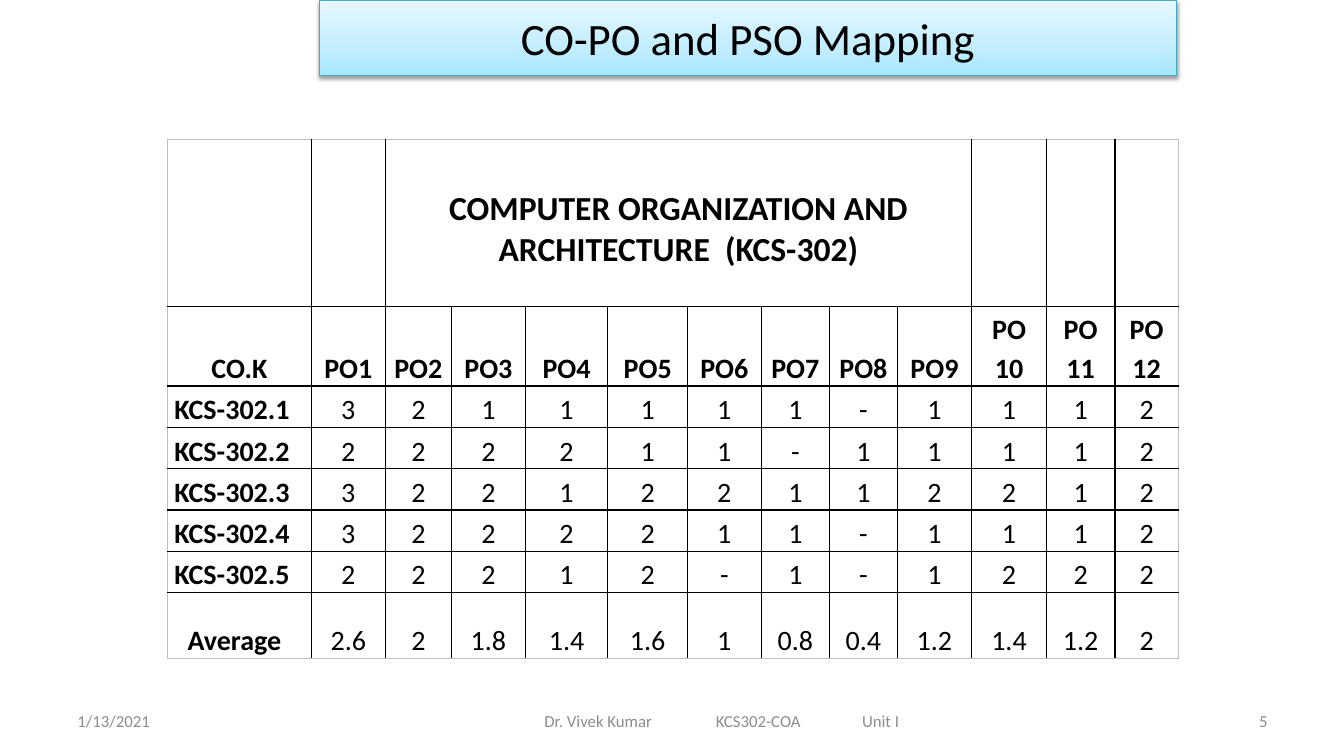
import pptx
import pptx.util
import pptx.dml.color
import pptx.enum.shapes
import pptx.enum.text
import pptx.oxml
import pptx.oxml.ns

Inches = pptx.util.Inches
Pt = pptx.util.Pt
RGBColor = pptx.dml.color.RGBColor
ALIGN = pptx.enum.text.PP_ALIGN
ANCHOR = pptx.enum.text.MSO_ANCHOR
NS = pptx.oxml.ns.nsdecls("a")

BLACK = RGBColor(0x00, 0x00, 0x00)
GREY = RGBColor(0x8C, 0x8C, 0x8C)
TEAL = RGBColor(0x46, 0xAA, 0xC5)
EDGE = RGBColor(0xBF, 0xBF, 0xBF)


def set_text(tf, text, size, color, align, bold=False):
    tf.text = text
    tf.word_wrap = True
    p = tf.paragraphs[0]
    p.alignment = align
    for r in p.runs:
        r.font.name = "Calibri"
        r.font.size = Pt(size)
        r.font.bold = bold
        r.font.color.rgb = color
    return p


def set_border(cell, side, color):
    cell._tc.get_or_add_tcPr().append(pptx.oxml.parse_xml(
        f'<a:{side} {NS} w="{Pt(1)}"><a:solidFill><a:srgbClr val="{color}"/>'
        f'</a:solidFill></a:{side}>'))


prs = pptx.Presentation()
prs.slide_width = Inches(13.33)
prs.slide_height = Inches(7.5)
s = prs.slides.add_slide(prs.slide_layouts[6])

footers = [
    (0.67, 3.11, 0.1, "1/13/2021", ALIGN.LEFT),
    (4.42, 5.5, 0.98, "Dr. Vivek Kumar\tKCS302-COA\tUnit I", ALIGN.LEFT),
    (9.56, 3.11, 0.1, "5", ALIGN.RIGHT),
]
for left, width, inset, text, align in footers:
    sp = s.shapes.add_textbox(Inches(left), Inches(6.95), Inches(width), Inches(0.4))
    tf = sp.text_frame
    tf.vertical_anchor = ANCHOR.MIDDLE
    tf.margin_left = Inches(inset)
    p = set_text(tf, text, 12, GREY, align)
    if "\t" in text:
        p._p.get_or_add_pPr().append(pptx.oxml.parse_xml(
            f'<a:tabLst {NS}><a:tab pos="{Inches(1.7)}" algn="l"/>'
            f'<a:tab pos="{Inches(3.15)}" algn="l"/></a:tabLst>'))

sp = s.shapes.add_shape(pptx.enum.shapes.MSO_SHAPE.RECTANGLE,
                        Inches(3.17), 0, Inches(8.5), Inches(0.75))
sp.line.color.rgb = TEAL
sp.line.width = Pt(0.75)
sp.shadow.inherit = False
spPr = sp._element.spPr
spPr.find(pptx.oxml.ns.qn("a:ln")).addprevious(pptx.oxml.parse_xml(
    f'<a:gradFill {NS} rotWithShape="1"><a:gsLst>'
    '<a:gs pos="0"><a:srgbClr val="A7E6FF"/></a:gs>'
    '<a:gs pos="35000"><a:srgbClr val="C1EDFF"/></a:gs>'
    '<a:gs pos="100000"><a:srgbClr val="E7F8FF"/></a:gs>'
    '</a:gsLst><a:lin ang="16200000" scaled="1"/></a:gradFill>'))
spPr.find(pptx.oxml.ns.qn("a:effectLst")).append(pptx.oxml.parse_xml(
    f'<a:outerShdw {NS} blurRad="{Pt(3.1)}" dist="{Pt(1.6)}" dir="5400000" rotWithShape="0">'
    '<a:srgbClr val="000000"><a:alpha val="38000"/></a:srgbClr></a:outerShdw>'))
sp.text_frame.vertical_anchor = ANCHOR.MIDDLE
set_text(sp.text_frame, "CO-PO and PSO Mapping", 32, BLACK, ALIGN.CENTER)

col_widths = [1.43, 0.73, 0.66, 0.73, 0.82, 0.79, 0.73, 0.68, 0.67, 0.74, 0.74, 0.68, 0.63]
row_heights = [1.66, 0.79] + [0.41] * 5 + [0.65]
rows = [
    ["", "", "COMPUTER ORGANIZATION AND ARCHITECTURE  (KCS-302)"] + [""] * 10,
    ["CO.K"] + [f"PO{n}" for n in range(1, 10)] + [f"PO {n}" for n in range(10, 13)],
    ["KCS-302.1", *"3211111-1112"],
    ["KCS-302.2", *"222211-11112"],
    ["KCS-302.3", *"322122112212"],
    ["KCS-302.4", *"3222211-1112"],
    ["KCS-302.5", *"22212-1-1222"],
    ["Average", "2.6", "2", "1.8", "1.4", "1.6", "1", "0.8", "0.4", "1.2", "1.4", "1.2", "2"],
]
last_row, last_col = len(rows) - 1, len(col_widths) - 1
frame = s.shapes.add_table(len(rows), len(col_widths), Inches(1.66), Inches(1.38),
                           Inches(sum(col_widths)), Inches(sum(row_heights)))
table = frame.table
table.first_row = False
table.horz_banding = False
for c, width in enumerate(col_widths):
    table.columns[c].width = Inches(width)
for i, height in enumerate(row_heights):
    table.rows[i].height = Inches(height)

for i, values in enumerate(rows):
    for c, text in enumerate(values):
        cell = table.cell(i, c)
        cell.vertical_anchor = ANCHOR.BOTTOM
        cell.margin_left = cell.margin_right = Inches(0.07)
        cell.margin_top = cell.margin_bottom = 0
        label = c == 0 and i > 1
        p = set_text(cell.text_frame, text, 24 if i == 0 else 20, BLACK,
                     ALIGN.LEFT if label else ALIGN.CENTER, i < 2 or label)
        if i > 0:
            p.line_spacing = 1.15
        outer = {"lnL": c == 0, "lnR": c == last_col, "lnT": i == 0, "lnB": i == last_row}
        for side, on_edge in outer.items():
            set_border(cell, side, EDGE if on_edge else BLACK)
        cell.fill.background()

table.cell(0, 2).merge(table.cell(0, 9))
table.cell(0, 2).margin_bottom = Inches(0.36)
table.cell(last_row, 0).margin_left = Inches(0.2)

prs.save("out.pptx")
